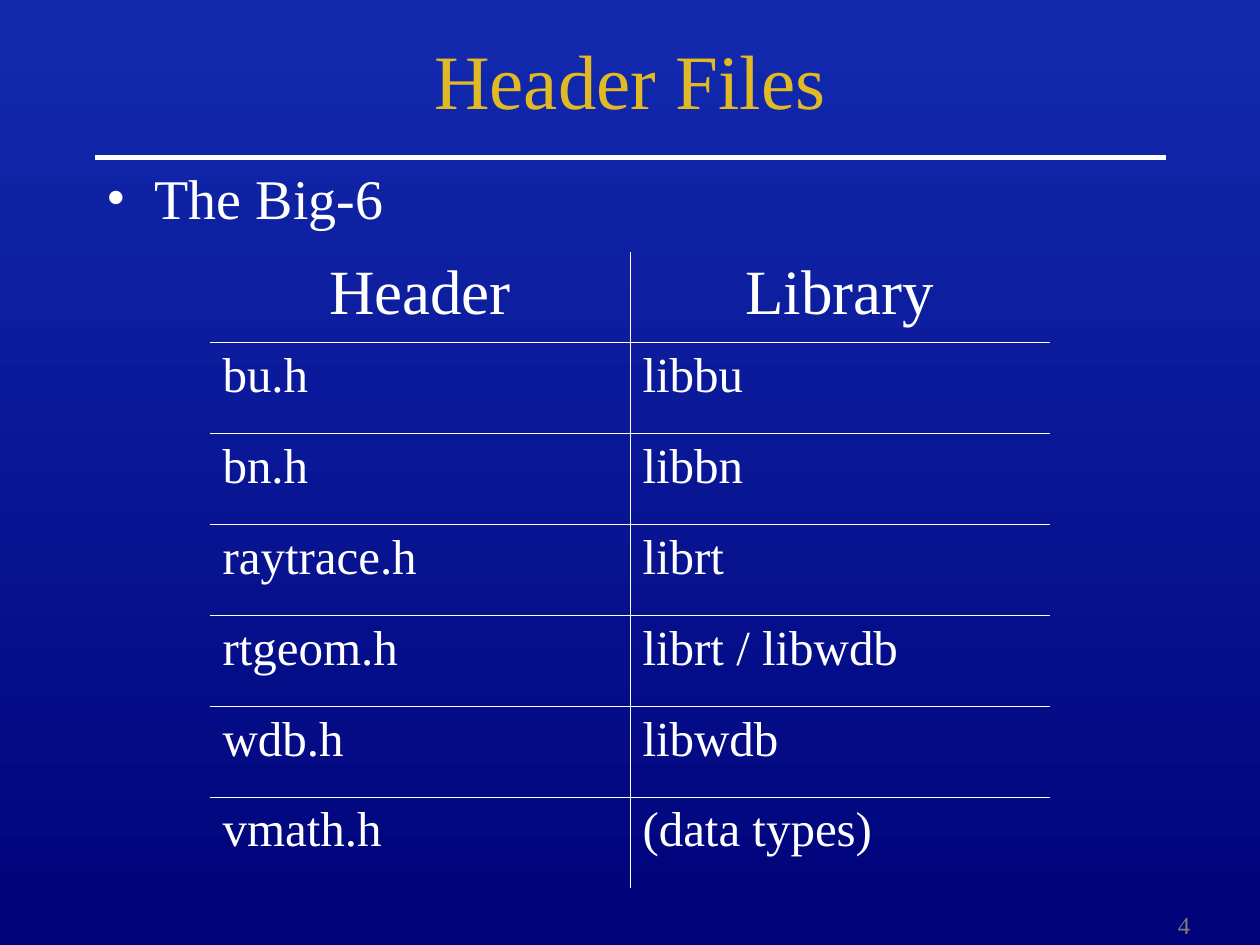
from lxml import etree
from pptx import Presentation
from pptx.dml.color import RGBColor
from pptx.enum.shapes import MSO_CONNECTOR
from pptx.enum.text import MSO_ANCHOR, PP_ALIGN
from pptx.oxml.ns import qn
from pptx.util import Inches, Pt

WHITE = RGBColor(0xFF, 0xFF, 0xFF)
GOLD = RGBColor(0xE1, 0xB9, 0x24)
GREY = RGBColor(0x7F, 0x7A, 0x7B)
TOP_BLUE = RGBColor(0x13, 0x2A, 0xAF)
LOW_BLUE = RGBColor(0x00, 0x03, 0x7A)

LEFT, CENTER = PP_ALIGN.LEFT, PP_ALIGN.CENTER
MIDDLE = MSO_ANCHOR.MIDDLE
STRAIGHT = MSO_CONNECTOR.STRAIGHT

FONT = "Times New Roman"
WIDTH, HEIGHT = Inches(10), Inches(7.5)
MARGIN = 0.075  # shares of the slide's size
RULE = 1 / 6
INNER = 1 - 2 * MARGIN

TITLE = {"size": Pt(44), "color": GOLD, "align": CENTER}
POINT = {"size": Pt(32), "color": WHITE, "before": Pt(8)}
NUMBER = {"size": Pt(14), "color": GREY, "before": Pt(8.8)}
HEAD = {"size": Pt(36), "color": WHITE, "align": CENTER, "before": Pt(9)}
ENTRY = {"size": Pt(28), "color": WHITE, "before": Pt(7)}

ROWS = [
    ("Header", "Library"),
    ("bu.h", "libbu"),
    ("bn.h", "libbn"),
    ("raytrace.h", "librt"),
    ("rtgeom.h", "librt / libwdb"),
    ("wdb.h", "libwdb"),
    ("vmath.h", "(data types)"),
]


def place(x, y, w, h):
    """Turn shares of the slide into lengths."""
    return [int(n) for n in (x * WIDTH, y * HEIGHT, w * WIDTH, h * HEIGHT)]


def write(frame, text, style):
    para = frame.paragraphs[0]
    run = para.add_run()
    run.text = text
    formats = {
        para: {"alignment": style.get("align", LEFT),
               "space_before": style.get("before", Pt(0))},
        run.font: {"name": FONT, "size": style["size"]},
    }
    for item, values in formats.items():
        for key, value in values.items():
            setattr(item, key, value)
    run.font.color.rgb = style["color"]
    return para


def add_text(slide, box, text, style):
    frame = slide.shapes.add_textbox(*place(*box)).text_frame
    frame.word_wrap = True
    write(frame, text, style)
    return frame


def add_bullet(para, indent):
    props = para._p.get_or_add_pPr()
    props.set("marL", str(indent))
    props.set("indent", str(-indent))
    color = etree.SubElement(props, qn("a:buClr"))
    etree.SubElement(color, qn("a:srgbClr"), val=str(WHITE))
    etree.SubElement(props, qn("a:buFont"), typeface=FONT)
    etree.SubElement(props, qn("a:buChar"), char="•")


def add_rule(slide):
    x, y, w, _ = place(MARGIN, RULE, INNER, 0)
    rule = slide.shapes.add_connector(STRAIGHT, x, y, x + w, y)
    rule.line.color.rgb = WHITE
    rule.line.width = Pt(3)
    etree.SubElement(rule._element.spPr, qn("a:effectLst"))


def set_borders(cell, sides):
    """Draw the named sides of a cell and hide the others."""
    props = cell._tc.get_or_add_tcPr()
    for index, side in enumerate("LRTB"):
        line = etree.Element(qn(f"a:ln{side}"), w=str(Pt(0.45)))
        if side in sides:
            fill = etree.SubElement(line, qn("a:solidFill"))
            etree.SubElement(fill, qn("a:srgbClr"), val=str(WHITE))
        else:
            etree.SubElement(line, qn("a:noFill"))
        props.insert(index, line)


def add_grid(slide, box):
    count, cols = len(ROWS), len(ROWS[0])
    table = slide.shapes.add_table(count, cols, *place(*box)).table
    table.first_row = table.horz_banding = False
    for r, row in enumerate(ROWS):
        for c, text in enumerate(row):
            cell = table.cell(r, c)
            cell.fill.background()
            inner = {"L": c > 0, "R": c < cols - 1,
                     "T": r > 0, "B": r < count - 1}
            set_borders(cell, [side for side in inner if inner[side]])
            write(cell.text_frame, text, ENTRY if r else HEAD)


def paint(slide):
    fill = slide.background.fill
    fill.gradient()
    fill.gradient_angle = 270
    for stop, color in zip(fill.gradient_stops, (TOP_BLUE, LOW_BLUE)):
        stop.color.rgb = color


def main():
    deck = Presentation()
    deck.slide_width, deck.slide_height = WIDTH, HEIGHT
    slide = deck.slides.add_slide(deck.slide_layouts[6])
    paint(slide)
    add_rule(slide)
    add_text(slide, (1 - MARGIN, 0.956, MARGIN, 0.045), "4", NUMBER)
    title = add_text(slide, (MARGIN, 0, INNER, RULE), "Header Files", TITLE)
    title.vertical_anchor = MIDDLE
    point = add_text(slide, (MARGIN, RULE, INNER, 0.09), "The Big-6", POINT)
    add_bullet(point.paragraphs[0], Inches(0.38))
    add_grid(slide, (1 / 6, 4 / 15, 2 / 3, 0.673))
    deck.save("out.pptx")


if __name__ == "__main__":
    main()
